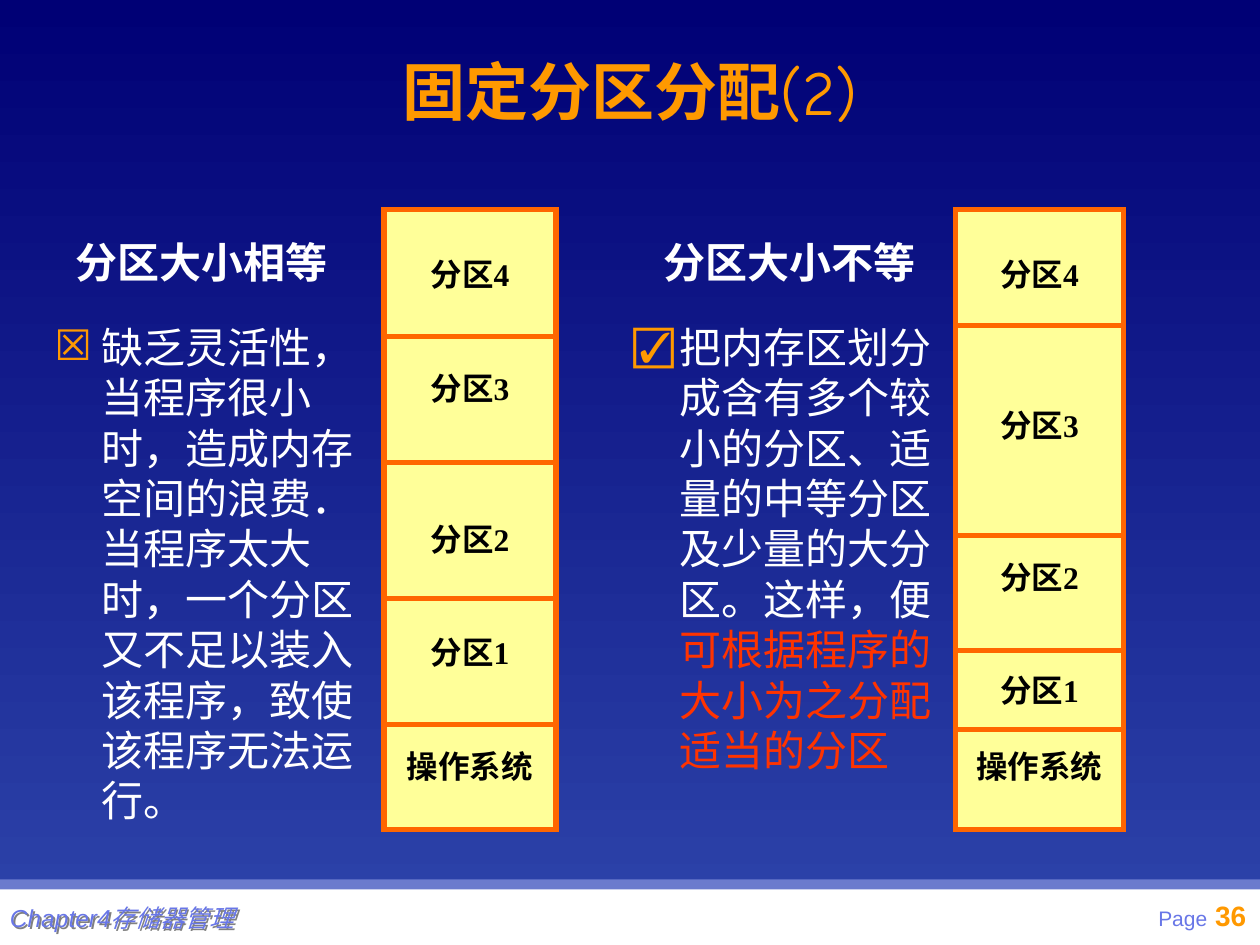
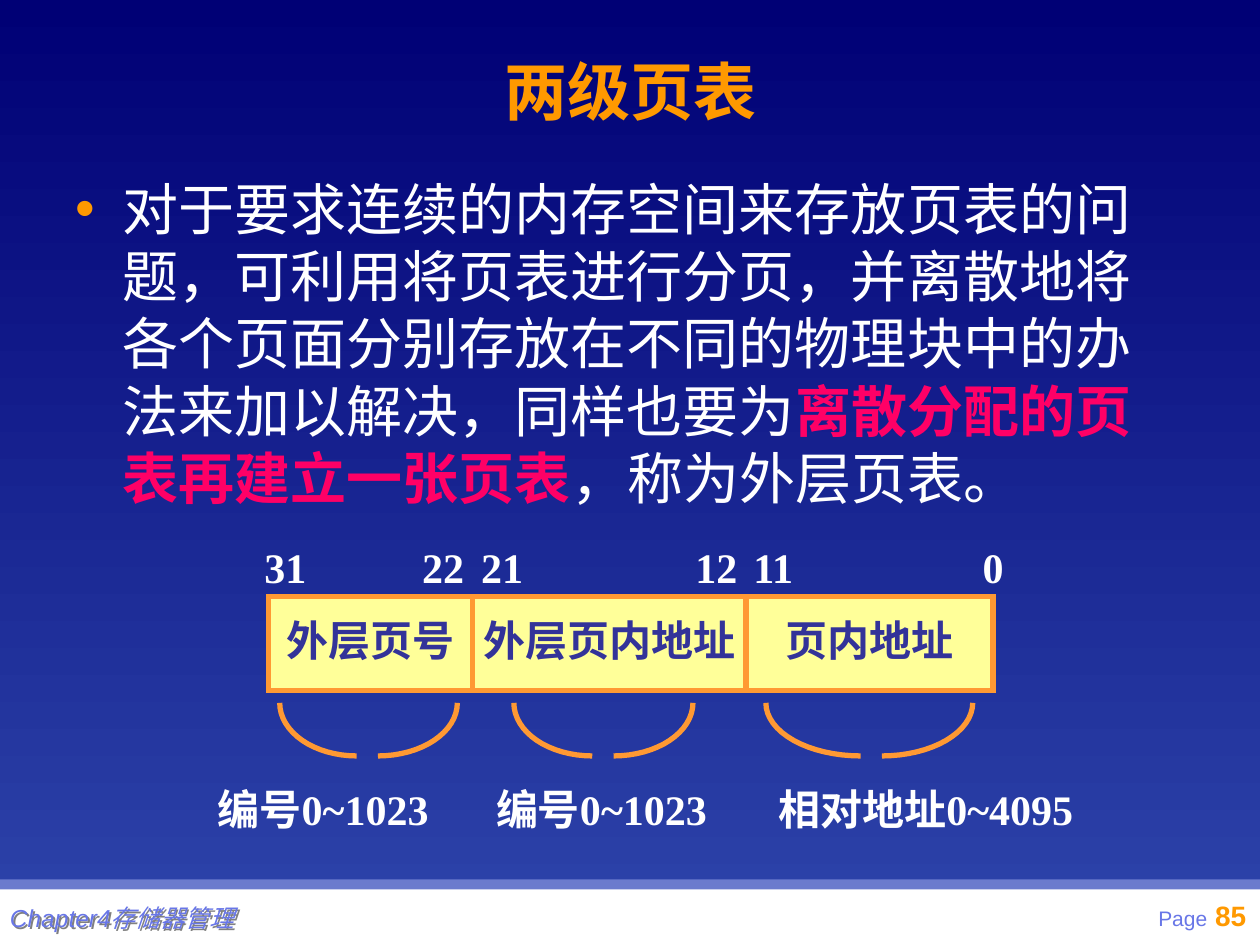
"""Build two lecture slides on memory partitions and two-level page tables."""
from dataclasses import dataclass
from math import cos, pi, sin

from lxml import etree
from pptx import Presentation
from pptx.dml.color import RGBColor
from pptx.enum.shapes import MSO_CONNECTOR, MSO_SHAPE
from pptx.enum.text import MSO_ANCHOR, MSO_AUTO_SIZE, PP_ALIGN
from pptx.oxml.ns import qn
from pptx.util import Cm, Pt

LEFT, CENTER, RIGHT = PP_ALIGN.LEFT, PP_ALIGN.CENTER, PP_ALIGN.RIGHT
MIDDLE, TOP = MSO_ANCHOR.MIDDLE, MSO_ANCHOR.TOP
NO_FIT, RECTANGLE, STRAIGHT = MSO_AUTO_SIZE.NONE, MSO_SHAPE.RECTANGLE, MSO_CONNECTOR.STRAIGHT


@dataclass(frozen=True)
class Theme:
    """Colours, fonts and type sizes shared by the slides."""
    sky_top: str = "000075"
    sky_bottom: str = "2E45AB"
    white: str = "FFFFFF"
    black: str = "000000"
    band: str = "6B7BCD"
    footer: str = "6876E7"
    shade: str = "808080"
    accent: str = "FF9900"
    warning: str = "FF3300"
    emphasis: str = "FF0066"
    block: str = "FFFF99"
    memory_line: str = "FF6600"
    address_line: str = "FF9933"
    address_text: str = "333399"
    sans: str = "Arial"
    serif: str = "Times New Roman"
    cjk: str = "Noto Sans CJK SC"
    hand: str = "Comic Neue"
    title_size: int = 36
    body_size: int = 32
    label_size: int = 24
    block_size: int = 18
    number_size: int = 16
    chapter_size: int = 14
    page_size: int = 12
    leading: float = 1.2
    title_leading: float = 0.85
    line_width: int = 3


THEME = Theme()
CHAPTER = "Chapter4存储器管理"
TITLE_FRAME = (1.27, 0.64, 22.86, 2.62)
HANG = 0.95

BLOCK_NAMES = ["分区4", "分区3", "分区2", "分区1", "操作系统"]
MEMORY_TOP, MEMORY_HEIGHT = 4.23, 12.5
SCHEMES = [
    {"heading": "分区大小相等", "heading_frame": (1.27, 4.65, 5.72, 1.27),
     "list_frame": (0.84, 6.35, 6.56, 10.41), "bullet": "☒", "font": THEME.cjk,
     "list": [[("缺乏灵活性，当程序很小时，造成内存空间的浪费．", THEME.white)],
              [("当程序太大时，一个分区又不足以装入该程序，致使该程序无法运行。", THEME.white)]],
     "memory": (7.74, 3.47), "dividers": [6.78, 9.32, 12.07, 14.61],
     "gap_lines": [0, 2, 3, 2, 2]},
    {"heading": "分区大小不等", "heading_frame": (13.13, 4.65, 5.59, 1.27),
     "list_frame": (12.5, 6.35, 6.56, 9.4), "bullet": "☑", "font": THEME.serif,
     "list": [[("把内存区划分成含有多个较小的分区、适量的中等分区及少量的大分区。这样，便", THEME.white),
               ("可根据程序的大小为之分配适当的分区", THEME.warning)]],
     "memory": (19.26, 3.39), "dividers": [6.56, 10.8, 13.12, 14.71],
     "gap_lines": [0, 3, 3, 2, 1]},
]

PAGING_FRAME = (1.27, 3.39, 22.86, 13.64)
PAGING = [
    ("对于要求连续的内存空间来存放页表的问题，可利用将页表进行分页，"
     "并离散地将各个页面分别存放在不同的物理块中的办法来加以解决，同样也要为", THEME.white, False),
    ("离散分配的页表再建立一张页表", THEME.emphasis, True),
    ("，称为外层页表。", THEME.white, False),
]
ADDRESS_TOP, ADDRESS_HEIGHT = 12.02, 1.9
BIT_TOP, NAME_TOP, RANGE_TOP, LABEL_HEIGHT = 10.8, 12.27, 15.67, 1.27
ARC_TOP, ARC_HEIGHT, ARC_STEPS = 14.17, 1.07, 16
FIELDS = [
    {"name": "外层页号", "edges": (5.41, 9.53), "bits": [("31", 5.08, 1.35), ("22", 8.26, 1.35)],
     "arcs": [(7.19, 5.64), (7.62, 9.22)], "range": ("编号0~1023", 4.14, 4.95)},
    {"name": "外层页内地址", "edges": (9.53, 15.04), "bits": [("21", 9.45, 1.35), ("12", 13.77, 1.35)],
     "arcs": [(11.94, 10.36), (12.37, 13.97)], "range": ("编号0~1023", 9.75, 4.95)},
    {"name": "页内地址", "edges": (15.04, 20.02), "bits": [("11", 14.94, 1.35), ("0", 19.56, 0.91)],
     "arcs": [(17.35, 15.44), (17.78, 19.61)], "range": ("相对地址0~4095", 15.44, 6.78)},
]


def rgb(code):
    """Turn a hex code into a colour."""
    return RGBColor.from_string(code)


def lengths(values):
    """Turn centimetre numbers into lengths."""
    return [Cm(value) for value in values]


def add_span(para, text, size, color, font=THEME.serif, bold=False, italic=False):
    """Add one formatted run to a paragraph."""
    span = para.add_run()
    span.text = text
    face = span.font
    face.size, face.bold, face.italic = Pt(size), bold, italic
    face.color.rgb = rgb(color)
    face.name = font
    face._element.find(qn("a:latin")).addnext(etree.Element(qn("a:ea"), typeface=THEME.cjk))


def set_para(para, size, align=LEFT, before=0, after=0):
    """Set alignment and spacing of a paragraph."""
    para.alignment = align
    para.line_spacing = Pt(size * THEME.leading)
    para.space_before, para.space_after = Pt(before), Pt(after)


def set_bullet(para, mark=None):
    """Indent a paragraph, hanging a coloured mark when one is given."""
    props = para._p.get_or_add_pPr()
    props.set("marL", str(Cm(HANG)))
    props.set("indent", str(-Cm(HANG) if mark else 0))
    props.set("hangingPunct", "0")
    if mark:
        color = etree.SubElement(props, qn("a:buClr"))
        etree.SubElement(color, qn("a:srgbClr"), val=THEME.accent)
        etree.SubElement(props, qn("a:buChar"), char=mark)
    else:
        etree.SubElement(props, qn("a:buNone"))


def place(shape, frame, anchor=TOP):
    """Move a placeholder and return its text frame."""
    shape.left, shape.top, shape.width, shape.height = lengths(frame)
    text = shape.text_frame
    text.auto_size, text.word_wrap, text.vertical_anchor = NO_FIT, True, anchor
    return text


def add_label(page, text, frame, color=THEME.white, align=LEFT):
    """Add a bold one-line label."""
    box = page.shapes.add_textbox(*lengths(frame)).text_frame
    box.word_wrap = True
    box.margin_right = 0
    if align == CENTER:
        box.margin_left = 0
    set_para(box.paragraphs[0], THEME.label_size, align)
    add_span(box.paragraphs[0], text, THEME.label_size, color, bold=True)


def set_line(shape, color):
    """Give a shape or connector the slide's thick line."""
    shape.line.color.rgb = rgb(color)
    shape.line.width = Pt(THEME.line_width)


def add_block(page, frame, fill, line=None):
    """Add a plain rectangle with sharp corners."""
    block = page.shapes.add_shape(RECTANGLE, *lengths(frame))
    block.shadow.inherit = False
    block.fill.solid()
    block.fill.fore_color.rgb = rgb(fill)
    if line:
        set_line(block, line)
        etree.SubElement(block._element.spPr.find(qn("a:ln")), qn("a:miter"), lim="800000")
    else:
        block.line.fill.background()
    return block


def add_divider(page, start, end, color):
    """Add a straight line between two points."""
    divider = page.shapes.add_connector(STRAIGHT, *lengths(start + end))
    set_line(divider, color)
    etree.SubElement(divider._element.spPr, qn("a:effectLst"))


def add_arc(page, bottom_x, top_x):
    """Draw a quarter ellipse from its lowest point up to its outer end."""
    angles = [step * pi / 2 / ARC_STEPS for step in range(ARC_STEPS + 1)]
    points = [(Cm(bottom_x + (top_x - bottom_x) * sin(angle)),
               Cm(ARC_TOP + ARC_HEIGHT * cos(angle))) for angle in angles]
    builder = page.shapes.build_freeform(*points[0])
    builder.add_line_segments(points[1:], close=False)
    arc = builder.convert_to_shape()
    arc.shadow.inherit = False
    arc.fill.background()
    set_line(arc, THEME.address_line)


def add_text_shadow(shape):
    """Give the text of an unfilled box a small grey shadow."""
    effects = etree.SubElement(shape._element.spPr, qn("a:effectLst"))
    shadow = etree.SubElement(effects, qn("a:outerShdw"), dist=str(Pt(1.6)), dir="2700000")
    etree.SubElement(shadow, qn("a:srgbClr"), val=THEME.shade)


def add_page(deck, layout, title, number):
    """Add a slide with its footer bands, page number and title."""
    page = deck.slides.add_slide(deck.slide_layouts[layout])
    add_block(page, (0, 17.88, 25.4, 1.17), THEME.white)
    add_block(page, (0, 17.73, 25.4, 0.2), THEME.band)

    box = page.shapes.add_textbox(*lengths((16.05, 17.98, 9.32, 1.02))).text_frame
    box.word_wrap = True
    para = box.paragraphs[0]
    set_para(para, THEME.number_size, RIGHT)
    add_span(para, "Page", THEME.page_size, THEME.footer, THEME.sans)
    add_span(para, " ", THEME.number_size, THEME.accent, THEME.sans)
    add_span(para, str(number), THEME.number_size, THEME.accent, THEME.sans, True)

    footer = page.shapes.add_textbox(*lengths((0.2, 18.21, 5.51, 0.58)))
    add_text_shadow(footer)
    box = footer.text_frame
    box.margin_left = box.margin_top = box.margin_right = box.margin_bottom = 0
    para = box.paragraphs[0]
    set_para(para, THEME.chapter_size)
    add_span(para, CHAPTER, THEME.chapter_size, THEME.footer, THEME.sans, italic=True)

    para = place(page.shapes.title, TITLE_FRAME, MIDDLE).paragraphs[0]
    set_para(para, THEME.title_size, CENTER)
    para.line_spacing = THEME.title_leading
    for text, font, bold in title:
        add_span(para, text, THEME.title_size, THEME.accent, font, bold)
    return page


def add_scheme(page, scheme, holder):
    """Add one partition scheme: heading, list and memory column."""
    add_label(page, scheme["heading"], scheme["heading_frame"])
    text = place(holder, scheme["list_frame"])
    for index, spans in enumerate(scheme["list"]):
        para = text.add_paragraph() if index else text.paragraphs[0]
        set_bullet(para, None if index else scheme["bullet"])
        set_para(para, THEME.label_size)
        for words, color in spans:
            add_span(para, words, THEME.label_size, color, scheme["font"])

    left, width = scheme["memory"]
    memory = add_block(page, (left, MEMORY_TOP, width, MEMORY_HEIGHT), THEME.block, THEME.memory_line)
    text = memory.text_frame
    text.word_wrap, text.vertical_anchor = False, MIDDLE
    for index, (name, gap) in enumerate(zip(BLOCK_NAMES, scheme["gap_lines"])):
        para = text.add_paragraph() if index else text.paragraphs[0]
        set_para(para, THEME.block_size, CENTER, gap * THEME.block_size * THEME.leading)
        add_span(para, name, THEME.block_size, THEME.black, bold=True)
    for level in scheme["dividers"]:
        add_divider(page, (left, level), (left + width, level), THEME.memory_line)


def add_address(page):
    """Draw the logical address with its fields, bit numbers and ranges."""
    start, end = FIELDS[0]["edges"][0], FIELDS[-1]["edges"][1]
    add_block(page, (start, ADDRESS_TOP, end - start, ADDRESS_HEIGHT), THEME.block, THEME.address_line)
    for field in FIELDS:
        left, right = field["edges"]
        if left > start:
            add_divider(page, (left, ADDRESS_TOP), (left, ADDRESS_TOP + ADDRESS_HEIGHT), THEME.address_line)
        add_label(page, field["name"], (left, NAME_TOP, right - left, LABEL_HEIGHT),
                  THEME.address_text, CENTER)
        for text, text_left, width in field["bits"] + [field["range"]]:
            top = RANGE_TOP if text == field["range"][0] else BIT_TOP
            add_label(page, text, (text_left, top, width, LABEL_HEIGHT))
        for bottom_x, top_x in field["arcs"]:
            add_arc(page, bottom_x, top_x)


def main():
    """Build and save the deck."""
    deck = Presentation()
    deck.slide_width, deck.slide_height = Cm(25.4), Cm(19.05)
    sky = deck.slide_master.background.fill
    sky.gradient()
    sky.gradient_angle = 270
    for stop, color in zip(sky.gradient_stops, (THEME.sky_top, THEME.sky_bottom)):
        stop.color.rgb = rgb(color)

    page = add_page(deck, 3, [("固定分区分配", THEME.cjk, True), ("(2)", THEME.hand, False)], 36)
    for scheme, holder in zip(SCHEMES, list(page.placeholders)[1:]):
        add_scheme(page, scheme, holder)

    page = add_page(deck, 1, [("两级页表", THEME.cjk, True)], 85)
    para = place(page.placeholders[1], PAGING_FRAME).paragraphs[0]
    set_bullet(para, "•")
    set_para(para, THEME.body_size, after=10)
    for text, color, bold in PAGING:
        add_span(para, text, THEME.body_size, color, THEME.cjk, bold)
    add_address(page)
    deck.save("out.pptx")


if __name__ == "__main__":
    main()
